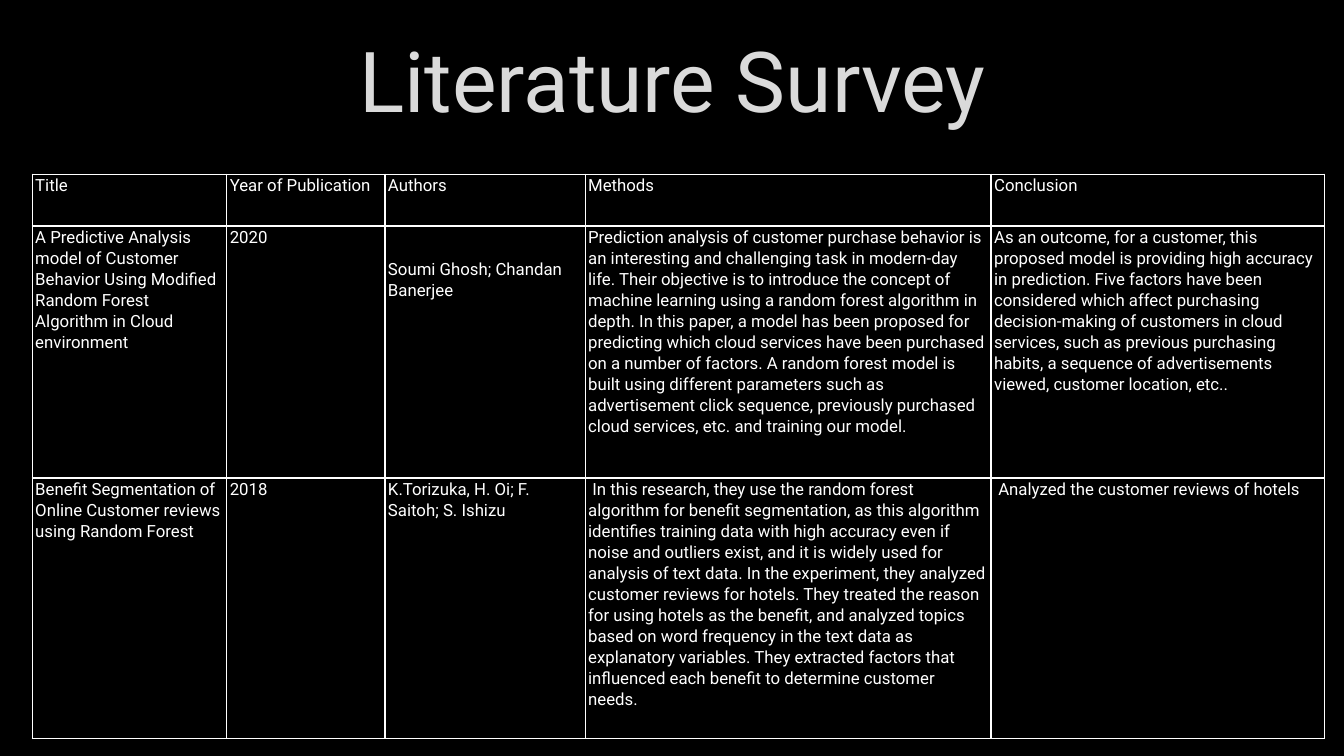
"""Build the Literature Survey slide with its table of papers."""
import lxml.etree
import pptx
import pptx.dml.color
import pptx.enum.text
import pptx.oxml.ns
import pptx.util

Pt = pptx.util.Pt
RGB = pptx.dml.color.RGBColor.from_string
qn = pptx.oxml.ns.qn

COLORS = {"background": "000000", "heading": "DADADA", "text": "FFFFFF", "grid": "FFFFFF"}
FONT = "Roboto"
COLUMN_WIDTHS = [139, 113, 143, 290, 238]
ROW_HEIGHTS = [37, 180, 186]
CELL_FORMAT = {"margin_left": Pt(2.2), "margin_right": Pt(2.2), "margin_top": 0, "margin_bottom": 0}
PARAGRAPH_FORMAT = {"line_spacing": 1.07, "space_after": Pt(8)}
CELL_FONT = {"name": FONT, "size": Pt(12), "bold": False}
HEADING_FONT = {"name": FONT, "size": Pt(60), "bold": False}
HEADING_BOX = {"left": Pt(72.7), "top": Pt(18), "width": Pt(815), "height": Pt(76.3)}
AUTHORS_DROP = Pt(23)

SURVEY = [
    ["Title", "Year of Publication", "Authors", "Methods", "Conclusion"],
    [
        "A Predictive Analysis model of Customer Behavior Using Modified Random Forest "
        "Algorithm in Cloud environment",
        "2020",
        "Soumi Ghosh; Chandan Banerjee",
        "Prediction analysis of customer purchase behavior is an interesting and challenging "
        "task in modern-day life. Their objective is to introduce the concept of machine "
        "learning using a random forest algorithm in depth. In this paper, a model has been "
        "proposed for predicting which cloud services have been purchased on a number of "
        "factors. A random forest model is built using different parameters such as "
        "advertisement click sequence, previously purchased cloud services, etc. and training "
        "our model.",
        "As an outcome, for a customer, this proposed model is providing high accuracy in "
        "prediction. Five factors have been considered which affect purchasing decision-making "
        "of customers in cloud services, such as previous purchasing habits, a sequence of "
        "advertisements viewed, customer location, etc..",
    ],
    [
        "Benefit Segmentation of Online Customer reviews using Random Forest",
        "2018",
        "K.Torizuka, H. Oi; F. Saitoh; S. Ishizu",
        " In this research, they use the random forest algorithm for benefit segmentation, as "
        "this algorithm identifies training data with high accuracy even if noise and outliers "
        "exist, and it is widely used for analysis of text data. In the experiment, they "
        "analyzed customer reviews for hotels. They treated the reason for using hotels as the "
        "benefit, and analyzed topics based on word frequency in the text data as explanatory "
        "variables. They extracted factors that influenced each benefit to determine customer "
        "needs.",
        " Analyzed the customer reviews of hotels",
    ],
]


def apply_format(target, values):
    for name, value in values.items():
        setattr(target, name, value)


def add_borders(cell):
    properties = cell._tc.get_or_add_tcPr()
    for position, side in enumerate(["a:lnL", "a:lnR", "a:lnT", "a:lnB"]):
        line = lxml.etree.Element(qn(side), w=str(Pt(1)))
        fill = lxml.etree.SubElement(line, qn("a:solidFill"))
        lxml.etree.SubElement(fill, qn("a:srgbClr"), val=COLORS["grid"])
        properties.insert(position, line)


presentation = pptx.Presentation()
apply_format(presentation, {"slide_width": Pt(960), "slide_height": Pt(540)})
slide = presentation.slides.add_slide(presentation.slide_layouts[5])
slide.background.fill.solid()
slide.background.fill.fore_color.rgb = RGB(COLORS["background"])

heading = slide.shapes.title
apply_format(heading, HEADING_BOX)
heading.text_frame.text = "Literature Survey"
heading.text_frame.vertical_anchor = pptx.enum.text.MSO_ANCHOR.MIDDLE
heading_line = heading.text_frame.paragraphs[0]
heading_line.alignment = pptx.enum.text.PP_ALIGN.CENTER
heading_run = heading_line.runs[0]
apply_format(heading_run.font, HEADING_FONT)
heading_run.font.color.rgb = RGB(COLORS["heading"])

survey = slide.shapes.add_table(
    len(ROW_HEIGHTS), len(COLUMN_WIDTHS), Pt(23), Pt(124.5),
    Pt(sum(COLUMN_WIDTHS)), Pt(sum(ROW_HEIGHTS)),
).table
apply_format(survey, {"first_row": False, "horz_banding": False})
for column, width in zip(survey.columns, COLUMN_WIDTHS):
    column.width = Pt(width)
for row, height, entries in zip(survey.rows, ROW_HEIGHTS, SURVEY):
    row.height = Pt(height)
    for cell, entry in zip(row.cells, entries):
        cell.text = entry
        apply_format(cell, CELL_FORMAT)
        cell.fill.solid()
        cell.fill.fore_color.rgb = RGB(COLORS["background"])
        add_borders(cell)
        paragraph = cell.text_frame.paragraphs[0]
        apply_format(paragraph, PARAGRAPH_FORMAT)
        entry_font = paragraph.runs[0].font
        apply_format(entry_font, CELL_FONT)
        entry_font.color.rgb = RGB(COLORS["text"])
survey.cell(1, 2).margin_top = AUTHORS_DROP

presentation.save("out.pptx")
